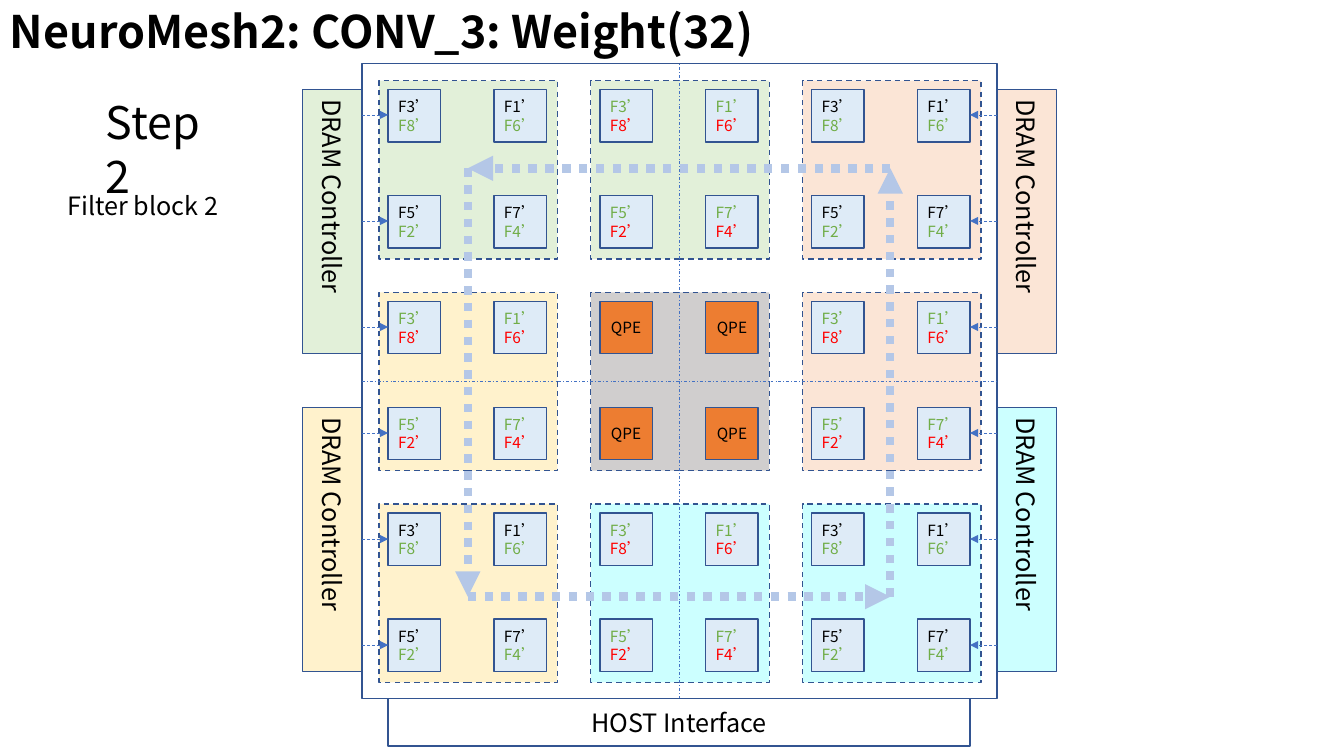
from pptx import Presentation
from pptx import util as u
from pptx.dml.color import RGBColor
from pptx.enum import dml, shapes, text
from pptx.oxml.ns import qn
from lxml import etree

# Content
TITLE, STEP, BLOCK = "NeuroMesh2: CONV_3: Weight(32)", "Step 2", "Filter block 2"
DRAM, HOST, CORE = "DRAM Controller", "HOST Interface", "QPE"
PAIRS = [[("F3’", "F8’"), ("F1’", "F6’")],
         [("F5’", "F2’"), ("F7’", "F4’")]]

# Colours
FONT = "Noto Sans CJK SC"
BLACK, LEAF, RED = "000000", "70AD47", "FF0000"
EDGE, LINK, RING = "325491", "4472C4", "B4C7E7"
CELL, HOT = "DEEBF7", "ED7D31"
GREEN, PEACH, SAND, AQUA, GREY = "E2F0D9", "FBE5D6", "FFF2CC", "CCFFFF", "D0CECE"
TILES = [[GREEN, GREEN, PEACH],
         [SAND, GREY, PEACH],
         [SAND, AQUA, AQUA]]
BANKS = [[GREEN, PEACH], [SAND, AQUA]]

# Grid: six by six cells, in tiles of two by two
LEFT, TOP, STEP_IN, SIDE = 3.85, 0.89, 1.05, 0.52
PAD = 0.09
TILE = STEP_IN + SIDE + 2 * PAD + 0.02
FRAME_X, FRAME_Y, FRAME = 3.59, 0.63, 6 * STEP_IN
BANK_W = 0.59
DASH = dml.MSO_LINE

prs = Presentation()
prs.slide_width, prs.slide_height = u.Inches(13.33), u.Inches(7.5)
slide = prs.slides.add_slide(prs.slide_layouts[6])


def rgb(code):
    return RGBColor.from_string(code)


def write(shape, lines, size=18, colors=(BLACK,), bold=False, mid=True, vert=None):
    frame = shape.text_frame
    frame.word_wrap = True
    frame.vertical_anchor = text.MSO_ANCHOR.MIDDLE if mid else text.MSO_ANCHOR.TOP
    if vert:
        frame._txBody.find(qn("a:bodyPr")).set("vert", vert)
    for k, (line, color) in enumerate(zip(lines, colors)):
        para = frame.add_paragraph() if k else frame.paragraphs[0]
        para.alignment = text.PP_ALIGN.CENTER if mid else text.PP_ALIGN.LEFT
        run = para.add_run()
        run.text = line
        font = run.font
        font.name, font.size, font.bold = FONT, u.Pt(size), bold
        font.color.rgb = rgb(color)


def box(x, y, w, h, fill=None, dash=None):
    shape = slide.shapes.add_shape(shapes.MSO_SHAPE.RECTANGLE, *map(u.Inches, (x, y, w, h)))
    shape.shadow.inherit = False
    if fill:
        shape.fill.solid()
        shape.fill.fore_color.rgb = rgb(fill)
    else:
        shape.fill.background()
    shape.line.color.rgb = rgb(EDGE)
    shape.line.width = u.Pt(1)
    if dash:
        shape.line.dash_style = dash
    return shape


def link(x1, y1, x2, y2, dash, color=LINK, width=0.5, arrow=True):
    line = slide.shapes.add_connector(shapes.MSO_CONNECTOR.STRAIGHT,
                                      *map(u.Inches, (x1, y1, x2, y2)))
    line.line.color.rgb = rgb(color)
    line.line.width = u.Pt(width)
    line.line.dash_style = dash
    if arrow:
        etree.SubElement(line.line._get_or_add_ln(), qn("a:tailEnd"), type="triangle")
    etree.SubElement(line._element.spPr, qn("a:effectLst"))


def label(x, y, w, h, line, **look):
    write(slide.shapes.add_textbox(*map(u.Inches, (x, y, w, h))), [line], mid=False, **look)


# Tiles and chip frame
for r, row in enumerate(TILES):
    for c, fill in enumerate(row):
        box(LEFT - PAD + 2 * c * STEP_IN, TOP - PAD + 2 * r * STEP_IN,
            TILE, TILE, fill, DASH.DASH)
box(FRAME_X, FRAME_Y, FRAME, FRAME)

# Cells: the middle tile holds cores, corner tiles start in black
for r in range(6):
    for c in range(6):
        row, col = r // 2, c // 2
        core = row == col == 1
        corner = row != 1 and col != 1
        cell = box(LEFT + c * STEP_IN, TOP + r * STEP_IN, SIDE, SIDE, HOT if core else CELL)
        if core:
            write(cell, [CORE], size=11)
        else:
            write(cell, PAIRS[r % 2][c % 2], size=11,
                  colors=(BLACK, LEAF) if corner else (LEAF, RED))

# Centre lines
half, right, low = FRAME / 2, FRAME_X + FRAME, FRAME_Y + FRAME
link(FRAME_X, FRAME_Y + half, right, FRAME_Y + half, DASH.DASH_DOT, arrow=False)
link(FRAME_X + half, low, FRAME_X + half, FRAME_Y, DASH.DASH_DOT, arrow=False)

# Memory controllers
for r, row in enumerate(BANKS):
    for x, fill in zip((FRAME_X - BANK_W, right), row):
        bank = box(x, TOP + 3 * r * STEP_IN, BANK_W, 2 * STEP_IN + SIDE, fill)
        write(bank, [DRAM], vert="eaVert")

# Memory links
inner = LEFT + 5 * STEP_IN + SIDE
for r in range(6):
    y = 1.14 + r * 1.052
    link(FRAME_X, y, LEFT, y, DASH.DASH)
    link(right, y, inner, y, DASH.DASH)

# Host and headings
write(box(LEFT, low, inner - LEFT, 0.47), [HOST])
label(0, -0.01, 9.82, 0.64, TITLE, size=32, bold=True)
label(0.95, TOP, 1.46, 0.64, STEP, size=32)

# Ring of data flow
west, east, north, south = 4.64, 8.83, 1.67, 5.92
for path in [(west, north, west, south), (east, north, west, north),
             (west, south, east, south), (east, south, east, north)]:
    link(*path, DASH.ROUND_DOT, RING, 6)
label(0.57, 1.84, 2.2, 0.4, BLOCK)

prs.save("out.pptx")
